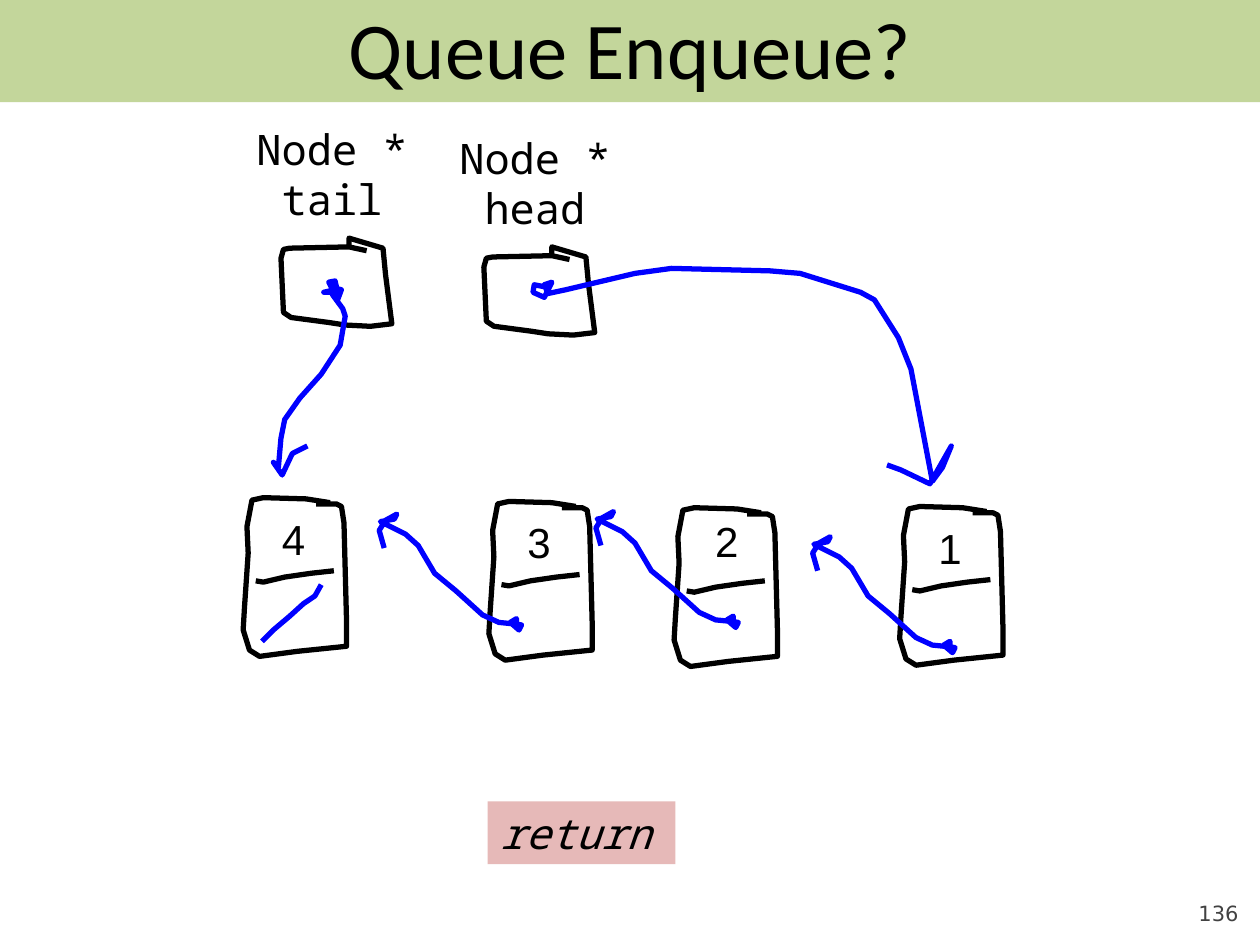
from pptx import Presentation
from pptx.dml.color import RGBColor
from pptx.enum.shapes import MSO_SHAPE
from pptx.enum.text import MSO_ANCHOR, PP_ALIGN
from pptx.util import Inches, Pt

LEFT, MID, RIGHT = PP_ALIGN.LEFT, PP_ALIGN.CENTER, PP_ALIGN.RIGHT
TOP, CENTER, BASE = MSO_ANCHOR.TOP, MSO_ANCHOR.MIDDLE, MSO_ANCHOR.BOTTOM
RECT, ROUND = MSO_SHAPE.RECTANGLE, MSO_SHAPE.ROUNDED_RECTANGLE
MONO = "Noto Sans Mono"
COLORS = {"band": "C3D69B", "note": "E6B9B8", "ink": "000000",
          "link": "0000FF", "page": "424242"}

# Content: pointers and nodes with the corner of each drawing
POINTERS = [("tail", 2.23, 1.9), ("head", 3.84, 1.97)]
NODES = [  # value, node corner, label corner
    ("4", (1.93, 3.95), (2.13, 4.03)),
    ("3", (3.88, 3.98), (4.08, 4.05)),
    ("2", (5.35, 4.03), (5.57, 4.04)),
    ("1", (7.14, 4.02), (7.34, 4.1)),
]
LINKS = [(3.01, 4.08), (4.73, 4.06), (6.45, 4.26)]

# Pen strokes: points in hundredths of an inch
BOX = [(68, 9), (54, 6), (7, 7), (2, 8), (0, 15), (2, 58), (8, 62),
       (38, 66), (51, 68), (71, 69), (88, 67), (83, 28), (81, 7),
       (54, -1), (54, 7)]
NODE = [(69, 4), (50, 1), (16, 0), (7, 2), (3, 23), (4, 44), (1, 88),
        (0, 105), (5, 121), (13, 126), (43, 122), (82, 118), (82, 97),
        (80, 20), (78, 7), (74, 5), (58, 5)]
RULE = [(10, 66), (16, 67), (33, 63), (54, 60), (72, 58)]
LINK = [(106, 87), (113, 88), (111, 92), (104, 86), (109, 83), (109, 89),
        (105, 87), (95, 86), (82, 80), (61, 61), (44, 47), (31, 25),
        (21, 16), (1, 6), (12, 4), (14, 0), (5, 5), (0, 13), (4, 27)]
SLASH = [(208, 509), (217, 500), (230, 489), (241, 479), (250, 473),
         (255, 464)]
HEAD = [(434, 228), (424, 226), (423, 232), (432, 236), (438, 224),
        (432, 226), (435, 233), (449, 230), (504, 217), (533, 213),
        (611, 215), (635, 217), (683, 232), (694, 238), (713, 268),
        (723, 293), (740, 382), (748, 371), (755, 354), (738, 384),
        (715, 373), (704, 369)]
TAIL = [(266, 230), (257, 232), (268, 232), (266, 223), (261, 224),
        (268, 238), (271, 230), (263, 228), (264, 234), (272, 245),
        (274, 251), (270, 274), (255, 297), (238, 316), (226, 333),
        (223, 348), (221, 371), (217, 367), (224, 377), (232, 360),
        (244, 354)]

deck = Presentation()
deck.slide_width, deck.slide_height = Inches(10), Inches(7.5)
slide = deck.slides.add_slide(deck.slide_layouts[6])
shapes = slide.shapes


def rgb(name):
    return RGBColor.from_string(COLORS[name])


def block(kind, area, color):
    part = shapes.add_shape(kind, *map(Inches, area))
    part.shadow.inherit = False
    part.fill.solid()
    part.fill.fore_color.rgb = rgb(color)
    part.line.fill.background()
    return part


def write(text, area, *, size=24, font=MONO, color="ink", align=LEFT,
          anchor=TOP, italic=False, wrap=False, inset=(0.1, 0.05), host=None):
    host = host or shapes.add_textbox(*map(Inches, area))
    frame = host.text_frame
    frame.word_wrap = wrap
    frame.vertical_anchor = anchor
    frame.margin_left = frame.margin_right = Inches(inset[0])
    frame.margin_top = frame.margin_bottom = Inches(inset[1])
    frame.text = text
    for para in frame.paragraphs:
        para.alignment = align
        style = para.font
        style.size, style.name, style.italic = Pt(size), font, italic
        style.color.rgb = rgb(color)


def stroke(dots, color="ink", left=0, top=0):
    path = [(Inches(left + x / 100), Inches(top + y / 100)) for x, y in dots]
    pen = shapes.build_freeform(*path[0])
    pen.add_line_segments(path[1:], close=False)
    part = pen.convert_to_shape()
    part.shadow.inherit = False
    part.fill.background()
    part.line.color.rgb = rgb(color)
    part.line.width = Pt(3)


# Title band and page number
band = block(ROUND, (0, 0, 10, 0.81), "band")
band.adjustments[0] = 0
write("Queue Enqueue?", (0.5, 0, 9, 0.75), size=46, font="Calibri",
      align=MID, anchor=CENTER, wrap=True)
write("136", (9, 6.95, 0.83, 0.4), size=12, font="DejaVu Sans", color="page",
      align=RIGHT, anchor=BASE, wrap=True, inset=(0, 0))

# Pointer boxes
for name, x, y in POINTERS:
    stroke(BOX, left=x, top=y)
    write(f"Node *\n{name}", (x - 0.3, y - 0.97, 1.41, 0.91), align=MID)

# List nodes
for value, (x, y), spot in NODES:
    for dots in (NODE, RULE):
        stroke(dots, left=x, top=y)
    write(value, (*spot, 0.39, 0.5), font="Arial", align=RIGHT)

# Links, null mark and pointer arrows
for x, y in LINKS:
    stroke(LINK, "link", x, y)
for dots in (SLASH, HEAD, TAIL):
    stroke(dots, "link")

# Return note
area = (3.87, 6.36, 1.49, 0.5)
write("return", area, italic=True, host=block(RECT, area, "note"))

deck.save("out.pptx")
